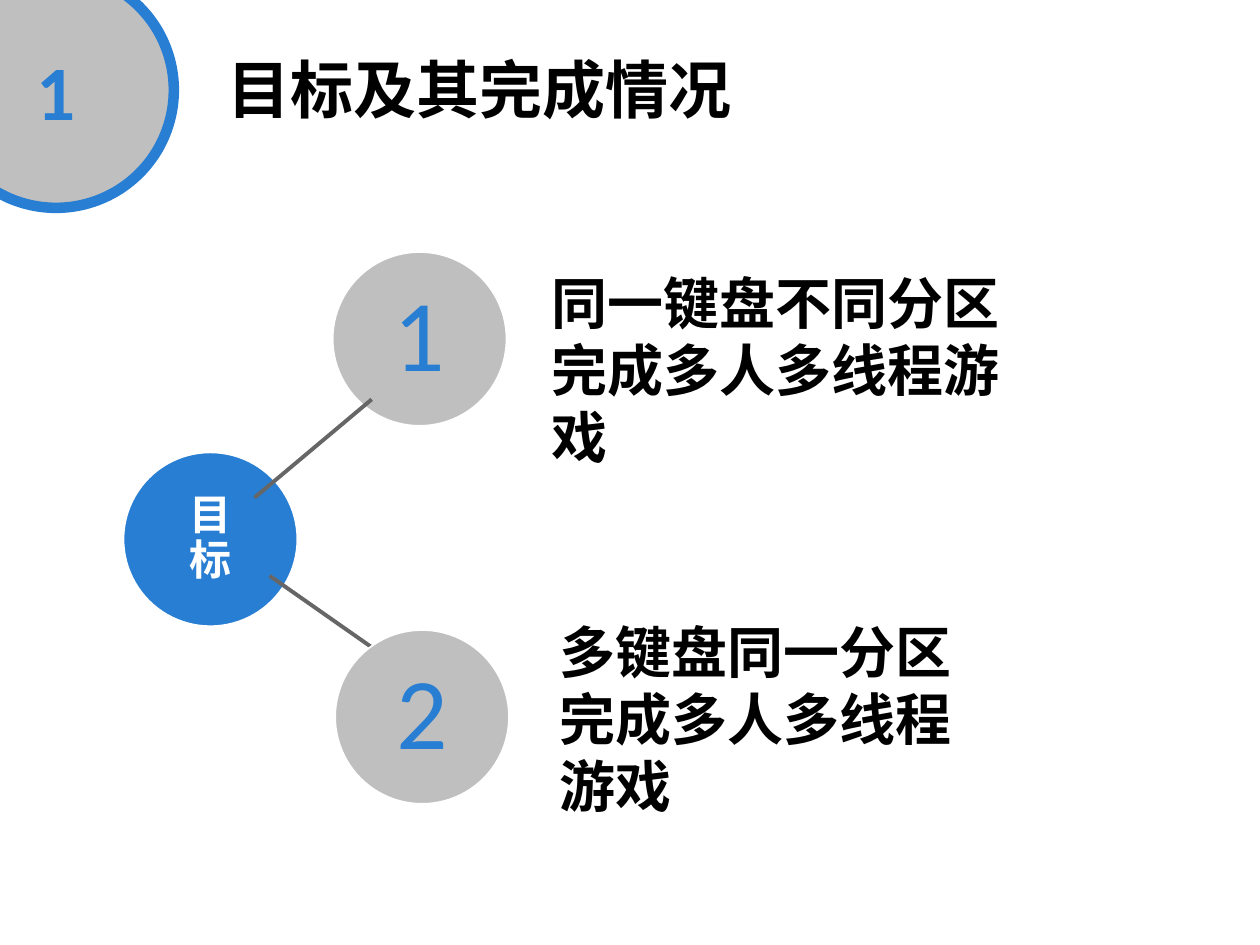
from dataclasses import dataclass

from lxml.etree import SubElement
from pptx import Presentation
from pptx.dml.color import RGBColor as Rgb
from pptx.enum.shapes import MSO_CONNECTOR as Connector, MSO_SHAPE as Shape
from pptx.enum.text import MSO_ANCHOR as Anchor, MSO_AUTO_SIZE as AutoSize, PP_ALIGN as Align
from pptx.oxml.ns import qn
from pptx.util import Inches, Pt


@dataclass(frozen=True)
class Theme:
    blue: Rgb = Rgb(0x28, 0x7E, 0xD3)
    grey: Rgb = Rgb(0xBF, 0xBF, 0xBF)
    line: Rgb = Rgb(0x66, 0x66, 0x66)
    white: Rgb = Rgb(0xFF, 0xFF, 0xFF)
    black: Rgb = Rgb(0, 0, 0)
    latin: str = "Calibri"
    chinese: str = "Noto Sans CJK SC"
    badge: int = 44
    title: int = 36
    hub: int = 24
    number: int = 58
    body: int = 32


class SlideBuilder:
    def __init__(self, slide, theme):
        self.shapes = slide.shapes
        self.theme = theme

    def set_text(self, frame, text, size, color, typeface, bold=True):
        frame.word_wrap = True
        paragraph = frame.paragraphs[0]
        paragraph.text = text
        font = paragraph.font
        font.size, font.bold, font.name = Pt(size), bold, typeface
        font.color.rgb = color
        properties = paragraph._p.pPr.find(qn("a:defRPr"))
        SubElement(properties, qn("a:ea")).set("typeface", typeface)
        return paragraph

    def circle(self, left, top, diameter, fill, outline, weight, inset, text, **style):
        circle = self.shapes.add_shape(
            Shape.OVAL, Inches(left), Inches(top), Inches(diameter), Inches(diameter))
        circle.shadow.inherit = False
        circle.fill.solid()
        circle.fill.fore_color.rgb = fill
        circle.line.color.rgb = outline
        circle.line.width = Pt(weight)
        frame = circle.text_frame
        frame.vertical_anchor = Anchor.MIDDLE
        frame.margin_left = frame.margin_right = Inches(inset)
        frame.margin_top = frame.margin_bottom = Inches(inset)
        paragraph = self.set_text(frame, text, **style)
        paragraph.alignment = Align.CENTER
        return paragraph

    def node(self, left, top, fill, text, **style):
        paragraph = self.circle(left, top, 1.38, fill, self.theme.white, 1, 0.24, text, **style)
        paragraph.line_spacing = 0.9

    def text(self, left, top, width, height, text, size):
        box = self.shapes.add_textbox(Inches(left), Inches(top), Inches(width), Inches(height))
        box.text_frame.auto_size = AutoSize.SHAPE_TO_FIT_TEXT
        self.set_text(box.text_frame, text, size, self.theme.black, self.theme.chinese)

    def link(self, start, end):
        link = self.shapes.add_connector(
            Connector.STRAIGHT, *(Inches(value) for value in (*start, *end)))
        link.line.color.rgb = self.theme.line
        link.line.width = Pt(2.25)
        SubElement(link._element.spPr, qn("a:effectLst"))


theme = Theme()
deck = Presentation()
deck.slide_width, deck.slide_height = Inches(10), Inches(7.5)
builder = SlideBuilder(deck.slides.add_slide(deck.slide_layouts[6]), theme)

builder.circle(-0.49, -0.22, 1.87, theme.grey, theme.blue, 6, 0.1, "1",
               size=theme.badge, color=theme.blue, typeface=theme.latin)
builder.text(1.71, 0.35, 6.19, 0.7, "目标及其完成情况", theme.title)
builder.node(0.98, 3.59, theme.blue, "目标",
             size=theme.hub, color=theme.white, typeface=theme.chinese)

goals = [
    ((2.64, 2), (4.28, 2.08, 4.02, 1.7), "同一键盘不同分区完成多人多线程游戏"),
    ((2.66, 5), (4.34, 4.85, 3.51, 1.7), "多键盘同一分区完成多人多线程游戏"),
]
builder.link((2.14, 4.57), (3.14, 5.27))
for number, (corner, caption_area, caption) in enumerate(goals, start=1):
    builder.node(*corner, theme.grey, str(number), size=theme.number,
                 color=theme.blue, typeface=theme.latin, bold=False)
    builder.text(*caption_area, caption, theme.body)
builder.link((2.02, 3.95), (2.95, 3.17))

deck.save("out.pptx")
